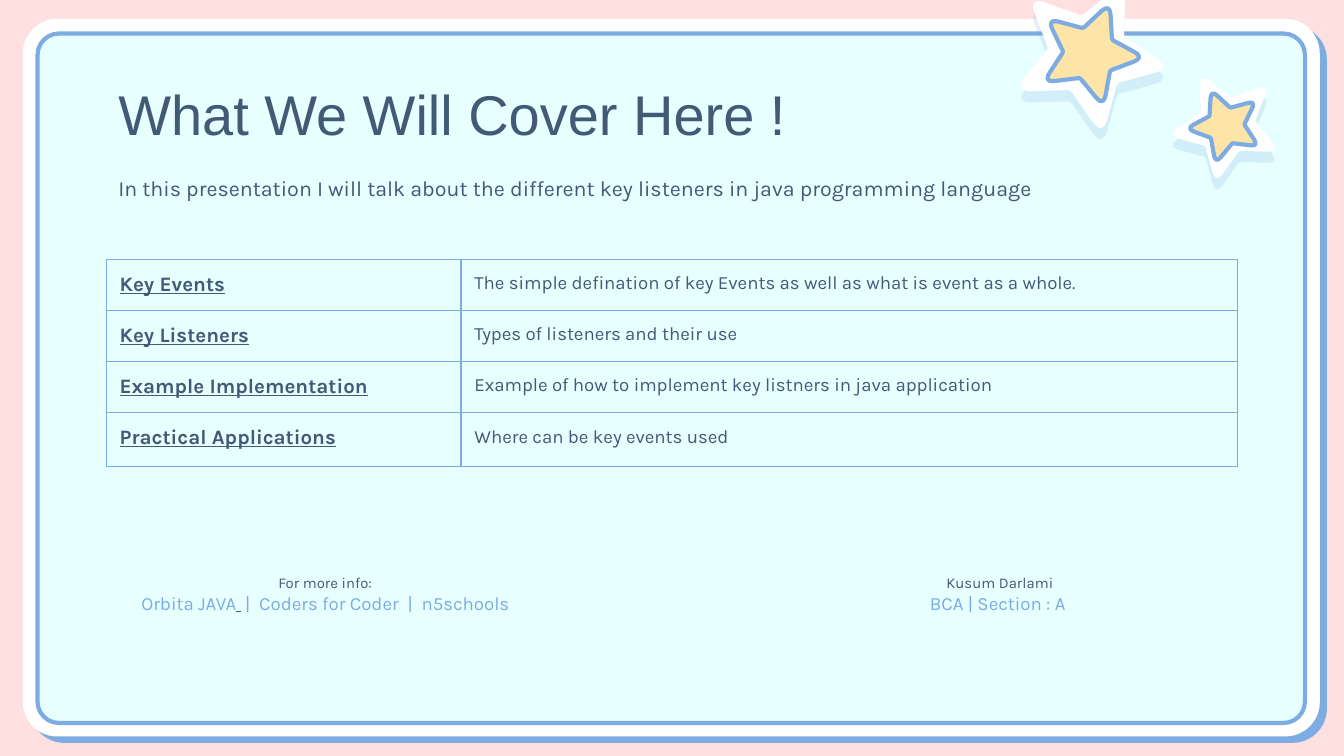
import math
from dataclasses import dataclass

import lxml.etree
import pptx
import pptx.dml.color
import pptx.enum.shapes
import pptx.enum.text
import pptx.oxml
import pptx.oxml.ns
import pptx.util

Inches = pptx.util.Inches
Pt = pptx.util.Pt
RGBColor = pptx.dml.color.RGBColor
ALIGN = pptx.enum.text.PP_ALIGN
qn = pptx.oxml.ns.qn

PINK = RGBColor(0xFF, 0xE0, 0xE1)
WHITE = RGBColor(0xFF, 0xFF, 0xFF)
AQUA = RGBColor(0xE7, 0xFF, 0xFF)
BLUE = RGBColor(0x7C, 0xAC, 0xE1)
NAVY = RGBColor(0x41, 0x5A, 0x75)
YELLOW = RGBColor(0xFE, 0xE4, 0xA7)


@dataclass
class Area:
    left: float
    top: float
    width: float
    height: float

    def lengths(self) -> list:
        return [Inches(v) for v in (self.left, self.top, self.width, self.height)]


@dataclass
class Span:
    text: str
    size: float
    color: RGBColor = NAVY
    underline: bool = False


@dataclass
class Star:
    rim: Area
    core: Area
    angle: float
    rim_tilt: float


@dataclass
class Footer:
    left: float
    lines: list[list[Span]]


STARS = [
    Star(Area(7.59, -0.13, 1.07, 1.02), Area(7.77, 0.04, 0.7, 0.66), 21.8, 5),
    Star(Area(8.72, 0.55, 0.77, 0.73), Area(8.86, 0.68, 0.5, 0.47), 338.2, -5),
]
TOPICS = [
    ("Key Events", "The simple defination of key Events as well as what is event as a whole."),
    ("Key Listeners", "Types of listeners and their use"),
    ("Example Implementation", "Example of how to implement key listners in java application"),
    ("Practical Applications", "Where can be key events used"),
]
FOOTERS = [
    Footer(0.78, [[Span("For more info:", 8)],
                  [Span("Orbita JAVA", 10, BLUE), Span(" ", 10, NAVY, True),
                   Span(" |  Coders for Coder  |  n5schools", 10, BLUE)]]),
    Footer(5.8, [[Span("Kusum Darlami", 8)], [Span("BCA | Section : A ", 10, BLUE)]]),
]


def style_shape(shape, fill: RGBColor, line: RGBColor | None = None) -> None:
    shape.shadow.inherit = False
    shape.fill.solid()
    shape.fill.fore_color.rgb = fill
    if line is None:
        shape.line.fill.background()
    else:
        shape.line.color.rgb = line
        shape.line.width = Pt(2.25)


def add_shadow(shape, distance: float, angle: int, opacity: int) -> None:
    effects = shape._element.spPr.find(qn("a:effectLst"))
    shadow = lxml.etree.SubElement(effects, qn("a:outerShdw"), dist=str(Pt(distance)),
                                   dir=str(angle * 60000), algn="bl", rotWithShape="0")
    color = lxml.etree.SubElement(shadow, qn("a:srgbClr"), val=str(BLUE))
    lxml.etree.SubElement(color, qn("a:alpha"), val=str(opacity * 1000))


def add_panel(page, area: Area, rounding: float, fill: RGBColor, line: RGBColor | None = None):
    panel = page.shapes.add_shape(pptx.enum.shapes.MSO_SHAPE.ROUNDED_RECTANGLE, *area.lengths())
    panel.adjustments[0] = rounding
    style_shape(panel, fill, line)
    return panel


def star_outline(tilt: float) -> list[tuple[float, float]]:
    """Five-pointed star with rounded corners, fitted to a unit square."""
    corners = []
    for i in range(10):
        radius, turn = (0.48 if i % 2 else 1), math.radians(36 * i + tilt)
        corners.append((radius * math.sin(turn), -radius * math.cos(turn)))
    points = []
    for i, corner in enumerate(corners):
        trim = 0.06 if i % 2 else 0.34
        start, end = ([c + trim * (n - c) for c, n in zip(corner, near)]
                      for near in (corners[i - 1], corners[(i + 1) % 10]))
        for t in (step / 6 for step in range(7)):
            points.append(tuple((1 - t) ** 2 * s + 2 * t * (1 - t) * c + t ** 2 * e
                                for s, c, e in zip(start, corner, end)))
    xs, ys = zip(*points)
    return [((x - min(xs)) / (max(xs) - min(xs)), (y - min(ys)) / (max(ys) - min(ys)))
            for x, y in points]


def add_star(page, area: Area, angle: float, tilt: float, fill: RGBColor,
             line: RGBColor | None = None):
    points = [(Inches(area.left + x * area.width), Inches(area.top + y * area.height))
              for x, y in star_outline(tilt)]
    builder = page.shapes.build_freeform(*points[0])
    builder.add_line_segments(points[1:], close=True)
    star = builder.convert_to_shape()
    star.rotation = angle
    style_shape(star, fill, line)
    return star


def format_span(span, size: float, color: RGBColor = NAVY, font: str = "Karla") -> None:
    span.font.size = Pt(size)
    span.font.name = font
    span.font.color.rgb = color


def format_frame(frame) -> None:
    frame.word_wrap = True
    frame.auto_size = pptx.enum.text.MSO_AUTO_SIZE.NONE
    frame.vertical_anchor = pptx.enum.text.MSO_ANCHOR.TOP
    frame.margin_left = frame.margin_right = Inches(0.1)
    frame.margin_top = frame.margin_bottom = Inches(0.1)


def fill_placeholder(box, area: Area, text: str, size: float, font: str) -> None:
    box.left, box.top, box.width, box.height = area.lengths()
    box.text_frame.text = text
    format_frame(box.text_frame)
    para = box.text_frame.paragraphs[0]
    para.alignment = ALIGN.LEFT
    para.space_before = Pt(0)
    format_span(para.runs[0], size, NAVY, font)
    properties = para._p.get_or_add_pPr()
    properties.set("marL", "0")
    properties.set("indent", "0")
    lxml.etree.SubElement(properties, qn("a:buNone"))
    # Bring the text in front of the panels
    box._element.getparent().append(box._element)


def format_cell(cell, text: str, heading: bool) -> None:
    cell.text = text
    cell.margin_left = cell.margin_right = Inches(0.1)
    cell.margin_top = cell.margin_bottom = Inches(0.1)
    cell.fill.background()
    para = cell.text_frame.paragraphs[0]
    span = para.runs[0]
    format_span(span, 11 if heading else 10)
    span.font.bold = span.font.underline = heading
    if not heading:
        para.space_after = Pt(16)
    properties = cell._tc.get_or_add_tcPr()
    for index, side in enumerate(("lnL", "lnR", "lnT", "lnB")):
        border = lxml.etree.Element(qn(f"a:{side}"), w=str(Pt(0.75)))
        fill = lxml.etree.SubElement(border, qn("a:solidFill"))
        lxml.etree.SubElement(fill, qn("a:srgbClr"), val=str(BLUE))
        properties.insert(index, border)


def add_topics(page) -> None:
    frame = page.shapes.add_table(len(TOPICS), 2, *Area(0.79, 1.93, 8.43, 1.54).lengths())
    table = frame.table
    table.first_row = table.horz_banding = False
    table.columns[0].width, table.columns[1].width = Inches(2.64), Inches(5.78)
    for row, topic in zip(table.rows, TOPICS):
        row.height = Inches(0.38)
        for column, text in enumerate(topic):
            format_cell(row.cells[column], text, heading=column == 0)
    table.rows[len(TOPICS) - 1].height = Inches(0.4)


def add_footer(page, footer: Footer) -> None:
    box = page.shapes.add_textbox(*Area(footer.left, 4.17, 3.28, 0.5).lengths())
    format_frame(box.text_frame)
    para = box.text_frame.paragraphs[0]
    para.alignment = ALIGN.CENTER
    for number, line in enumerate(footer.lines):
        if number:
            para.add_line_break()
        for part in line:
            span = para.add_run()
            span.text = part.text
            format_span(span, part.size, part.color)
            span.font.underline = part.underline


def main() -> None:
    deck = pptx.Presentation()
    # Widescreen, 16:9
    deck.slide_width = Inches(10)
    deck.slide_height = deck.slide_width * 9 // 16
    page = deck.slides.add_slide(deck.slide_layouts[1])
    page.background.fill.solid()
    page.background.fill.fore_color.rgb = PINK

    # Framed panel
    frame = add_panel(page, Area(0.17, 0.14, 9.65, 5.34), 0.048, WHITE)
    add_shadow(frame, 5.2, 42, 100)
    add_panel(page, Area(0.28, 0.25, 9.43, 5.13), 0.031, AQUA, BLUE)

    # Title, introduction, topics and footers
    title, body = page.shapes.title, page.placeholders[1]
    fill_placeholder(title, Area(0.78, 0.49, 8.44, 0.63), "What We Will Cover Here !", 30, "Arial")
    fill_placeholder(body, Area(0.78, 1.2, 8.44, 3.8),
                     "In this presentation I will talk about the different key listeners "
                     "in java programming language", 11.5, "Karla")
    add_topics(page)
    for footer in FOOTERS:
        add_footer(page, footer)

    # Stars
    for star in STARS:
        rim = add_star(page, star.rim, star.angle, star.rim_tilt, WHITE)
        add_shadow(rim, 6, 90, 19)
        add_star(page, star.core, star.angle, 0, YELLOW, BLUE)

    deck.save("out.pptx")


if __name__ == "__main__":
    main()
